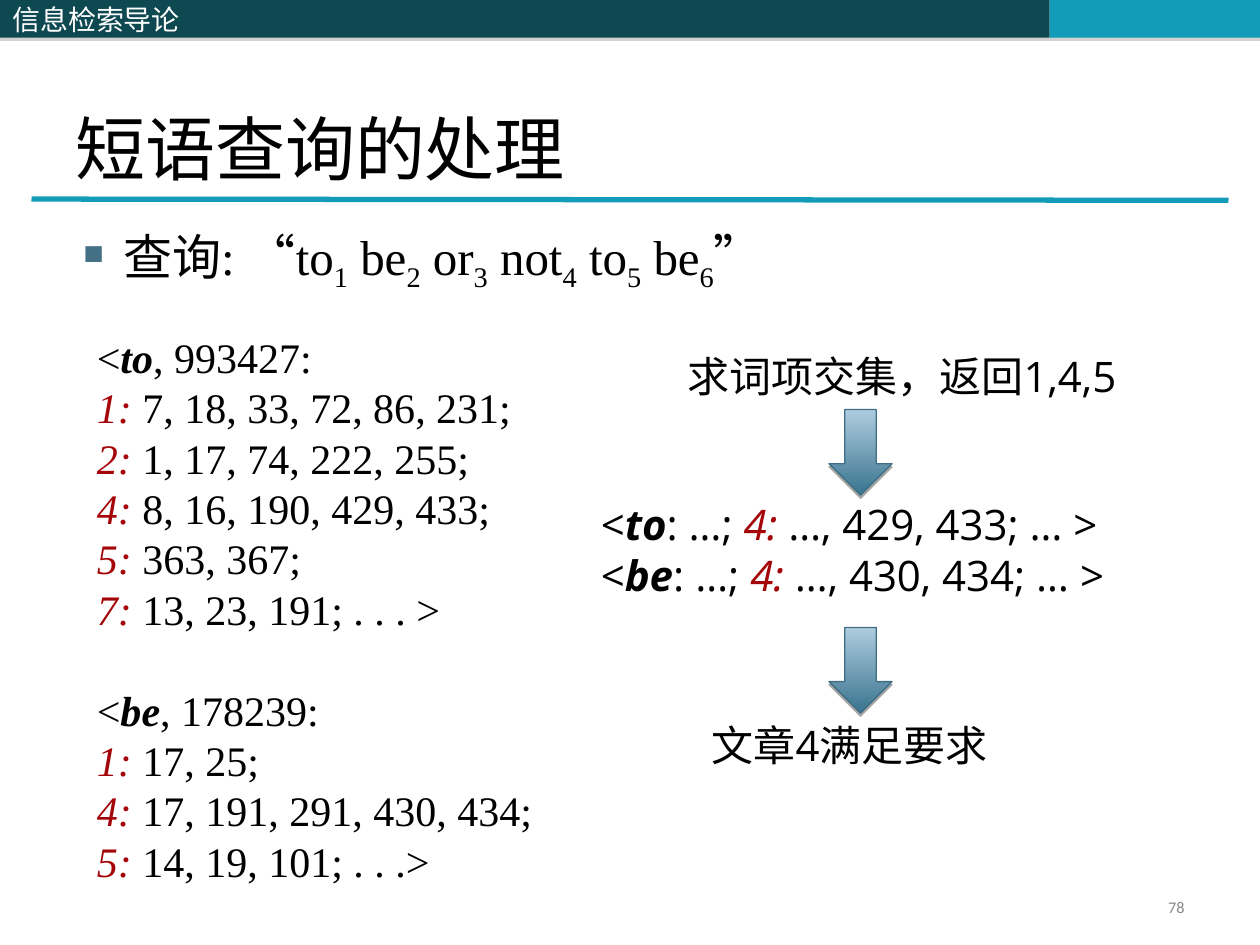
from lxml import etree
from pptx import Presentation
from pptx.dml.color import RGBColor
from pptx.enum.lang import MSO_LANGUAGE_ID
from pptx.enum.shapes import MSO_CONNECTOR, MSO_SHAPE
from pptx.enum.text import MSO_ANCHOR, PP_ALIGN
from pptx.oxml import parse_xml
from pptx.oxml.ns import nsdecls, qn
from pptx.util import Inches, Pt

RECTANGLE = MSO_SHAPE.RECTANGLE
DOWN_ARROW = MSO_SHAPE.DOWN_ARROW
STRAIGHT = MSO_CONNECTOR.STRAIGHT
TOP, MIDDLE, BOTTOM = MSO_ANCHOR.TOP, MSO_ANCHOR.MIDDLE, MSO_ANCHOR.BOTTOM
LEFT, RIGHT = PP_ALIGN.LEFT, PP_ALIGN.RIGHT
CHINESE = MSO_LANGUAGE_ID.SIMPLIFIED_CHINESE

SERIF, SANS, CJK, NUMERAL = "Times New Roman", "Open Sans", "Noto Sans CJK SC", "Calibri"
TEAL, CYAN, RED, GREY = "0E4851", "139CB7", "A40508", "898989"
BLACK, WHITE = "000000", "FFFFFF"
STEEL, SKY, EDGE, BULLET = "39748F", "AFCCDF", "406E84", "437085"
LINE_PITCH = 28.8
BREAK = ("\n", "")


def color(value):
    return RGBColor.from_string(value)


class SlideBuilder:
    def __init__(self, slide):
        self.shapes = slide.shapes

    def fill_text(self, frame, paragraphs, size, font=SERIF, ink=BLACK, anchor=TOP,
                  align=LEFT, pitch=None, gap=0, wrap=True):
        frame.word_wrap = wrap
        frame.vertical_anchor = anchor
        for index, runs in enumerate(paragraphs):
            paragraph = frame.add_paragraph() if index else frame.paragraphs[0]
            paragraph.alignment = align
            if pitch:
                paragraph.line_spacing = pitch
            if index and gap:
                paragraph.space_before = Pt(gap)
            for text, style in runs:
                if text == "\n":
                    paragraph.add_line_break()
                else:
                    self.add_run(paragraph, text, style, size, font, ink)

    def add_run(self, paragraph, text, style, size, font, ink):
        run = paragraph.add_run()
        run.text = text
        run.font.size = Pt(size)
        run.font.name = font
        run.font.language_id = CHINESE
        run.font.bold = style == "term"
        run.font.italic = style in ("term", "document")
        run.font.color.rgb = color(RED if style == "document" else ink)
        properties = run._r.get_or_add_rPr()
        etree.SubElement(properties, qn("a:ea")).set("typeface", CJK)
        if style == "position":
            properties.set("baseline", "-25000")

    def text(self, left, top, width, height, paragraphs, size, **style):
        box = self.shapes.add_textbox(Inches(left), Inches(top), Inches(width), Inches(height))
        self.fill_text(box.text_frame, paragraphs, size, **style)
        return box.text_frame

    def bullet(self, paragraph, mark, indent):
        properties = paragraph._p.get_or_add_pPr()
        properties.set("marL", str(Inches(indent)))
        properties.set("indent", str(-Inches(indent)))
        tint = etree.SubElement(properties, qn("a:buClr"))
        etree.SubElement(tint, qn("a:srgbClr")).set("val", BULLET)
        etree.SubElement(properties, qn("a:buChar")).set("char", mark)

    def shape(self, kind, left, top, width, height, shadow):
        shape = self.shapes.add_shape(kind, Inches(left), Inches(top), Inches(width), Inches(height))
        shape.shadow.inherit = False
        shape._element.spPr.find(qn("a:effectLst")).append(parse_xml(
            f'<a:outerShdw {nsdecls("a")} blurRad="0" dist="{Pt(1.8)}" dir="5400000" '
            f'rotWithShape="0"><a:srgbClr val="{shadow}"><a:alpha val="35000"/>'
            '</a:srgbClr></a:outerShdw>'))
        return shape

    def band(self, left, width, fill):
        band = self.shape(RECTANGLE, left, 0, width, 0.3, "808080")
        band.fill.solid()
        band.fill.fore_color.rgb = color(fill)
        band.line.fill.background()
        return band.text_frame

    def arrow(self, left, top):
        arrow = self.shape(DOWN_ARROW, left, top, 0.5, 0.68, BLACK)
        arrow.fill.gradient()
        arrow.fill.gradient_angle = 90
        for stop, tint, position in zip(arrow.fill.gradient_stops, (STEEL, SKY), (0, 1)):
            stop.color.rgb = color(tint)
            stop.position = position
        arrow.line.color.rgb = color(EDGE)
        arrow.line.width = Pt(0.75)

    def rule(self, start, end):
        rule = self.shapes.add_connector(STRAIGHT, *map(Inches, start + end))
        rule.line.color.rgb = color(CYAN)
        rule.line.width = Pt(3)
        etree.SubElement(rule._element.spPr, qn("a:effectLst"))


def postings(term, frequency, entries):
    runs = [("<", ""), (term, "term"), (f", {frequency}:", "")]
    for document, positions in entries:
        runs += [BREAK, (f"{document}: ", "document"), (positions, "")]
    return runs


def match(term, positions):
    return [("<", ""), (term, "term"), (": …; ", ""), ("4: ", "document"),
            (f"…, {positions}; … >", "")]


def main():
    deck = Presentation()
    deck.slide_width, deck.slide_height = Inches(10), Inches(7.5)
    builder = SlideBuilder(deck.slides.add_slide(deck.slide_layouts[6]))

    builder.band(4.08, 4.25, TEAL)
    builder.band(8.33, 1.67, CYAN)
    builder.rule((0.25, 1.58), (9.75, 1.59))
    course = builder.band(0, 4.08, TEAL)
    builder.fill_text(course, [[("信息检索导论", "")]], 16, font=CJK, ink=WHITE, anchor=MIDDLE)

    builder.text(0.5, 0.3, 9, 1.25, [[("短语查询的处理", "")]], 40, anchor=BOTTOM)

    query = [("查询: “", "")]
    for position, word in enumerate("to be or not to be".split(), 1):
        query += [(word if position == 1 else f" {word}", ""), (str(position), "position")]
    query.append(("”", ""))
    phrase = builder.text(0.5, 1.75, 9, 5.42, [query], 28)
    phrase.paragraphs[0].space_before = Pt(7)
    builder.bullet(phrase.paragraphs[0], "▪", 0.38)

    index = [
        postings("to", 993427, [
            (1, "7, 18, 33, 72, 86, 231;"), (2, "1, 17, 74, 222, 255;"),
            (4, "8, 16, 190, 429, 433;"), (5, "363, 367;"), (7, "13, 23, 191; . . . >")]),
        postings("be", 178239, [
            (1, "17, 25;"), (4, "17, 191, 291, 430, 434;"), (5, "14, 19, 101; . . .>")]),
    ]
    pitch = Pt(LINE_PITCH)
    builder.text(0.67, 2.58, 5.92, 4.5, index, 24, pitch=pitch, gap=LINE_PITCH)
    builder.text(7.17, 7.08, 2.33, 0.27, [[("78", "")]], 9.3, font=NUMERAL, ink=GREY,
                 anchor=MIDDLE, align=RIGHT, pitch=0.8)

    matches = [match("to", "429, 433"), match("be", "430, 434")]
    builder.text(4.67, 3.91, 5, 0.9, matches, 24, font=SANS, pitch=pitch)
    for left, top, width, step in ((5.36, 2.73, 3.69, "求词项交集，返回1,4,5"),
                                   (5.55, 5.66, 2.55, "文章4满足要求")):
        builder.text(left, top, width, 0.5, [[(step, "")]], 24, font=SANS,
                     pitch=pitch, wrap=False)
    for top in (3.25, 4.98):
        builder.arrow(6.58, top)

    deck.save("out.pptx")


if __name__ == "__main__":
    main()
